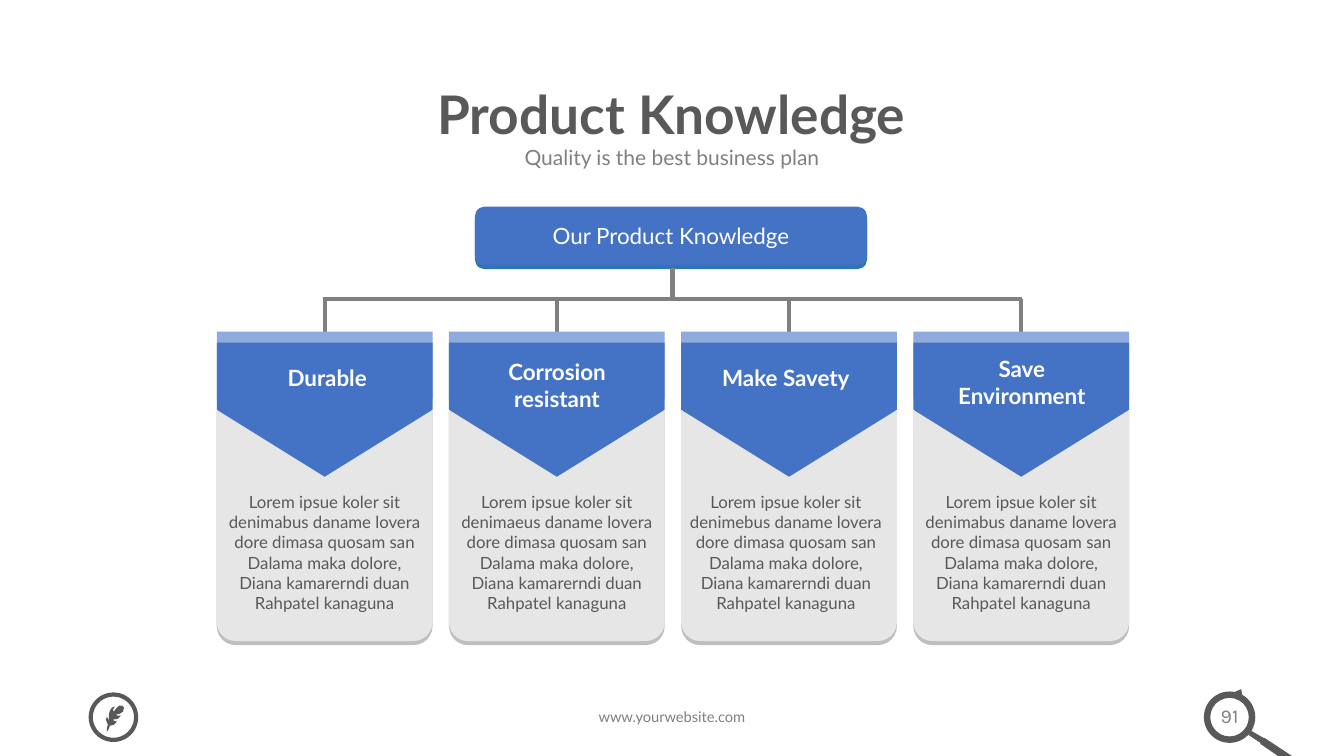
from lxml import etree
from pptx import Presentation
from pptx.dml.color import RGBColor
from pptx.enum.shapes import MSO_CONNECTOR, MSO_SHAPE
from pptx.enum.text import MSO_ANCHOR, PP_ALIGN
from pptx.oxml.ns import qn
from pptx.util import Inches, Pt

BLUE = RGBColor(0x44, 0x72, 0xC4)
DEEP_BLUE = RGBColor(0x2E, 0x75, 0xB6)
PALE_BLUE = RGBColor(0x8F, 0xAA, 0xDC)
DARK = RGBColor(0x59, 0x59, 0x59)
GRAY = RGBColor(0x80, 0x80, 0x80)
SHADE = RGBColor(0xBF, 0xBF, 0xBF)
PANEL = RGBColor(0xE6, 0xE6, 0xE6)
WHITE = RGBColor(0xFF, 0xFF, 0xFF)

TITLE = "Product Knowledge"
SUBTITLE = "Quality is the best business plan"
ROOT = "Our Product Knowledge"
WEBSITE = "www.yourwebsite.com"
PAGE = "91"

# heading, heading left, heading top, body shift, second word of the body
BRANCHES = [
    ("Durable", 2.54, 3.61, 0, "denimabus"),
    ("Corrosion resistant", 4.82, 3.55, 0, "denimaeus"),
    ("Make Savety", 7.09, 3.61, -0.03, "denimebus"),
    ("Save Environment", 9.43, 3.52, 0, "denimabus"),
]
BODY = [
    "Lorem ipsue koler sit {} daname lovera dore dimasa quosam san",
    "Dalama maka dolore,",
    "Diana kamarerndi duan",
    "Rahpatel kanaguna",
]
HANDLE = [(12.38, 7.29), (12.43, 7.22), (12.41, 7.25), (12.53, 7.32), (12.54, 7.32),
          (12.92, 7.57), (12.93, 7.6), (12.92, 7.62), (12.9, 7.65), (12.88, 7.64),
          (12.5, 7.38), (12.5, 7.37)]
FEATHER = [(1.07, 7.25), (1.09, 7.2), (1.13, 7.19), (1.16, 7.16), (1.13, 7.15),
           (1.12, 7.14), (1.17, 7.13), (1.2, 7.1), (1.16, 7.1), (1.15, 7.09),
           (1.19, 7.08), (1.22, 7.06), (1.23, 7.02), (1.21, 7), (1.18, 7),
           (1.15, 7.03), (1.13, 7.06), (1.12, 7.04), (1.14, 7.01), (1.11, 7.02),
           (1.09, 7.05), (1.08, 7.09), (1.08, 7.15), (1.06, 7.11), (1.05, 7.14),
           (1.07, 7.19), (1.06, 7.22), (1.06, 7.25)]

COLUMN_LEFT, COLUMN_PITCH, COLUMN_WIDTH = 2.15, 2.303, 2.14
PANEL_TOP, PLATE_TOP, PLATE_HEIGHT = 4.08, 3.29, 1.33
BAR_Y = 2.97

deck = Presentation()
deck.slide_width, deck.slide_height = Inches(13.33), Inches(7.5)
slide = deck.slides.add_slide(deck.slide_layouts[6])


def paint(shape, fill):
    shape.shadow.inherit = False
    shape.fill.solid()
    shape.fill.fore_color.rgb = fill
    shape.line.fill.background()
    return shape


def add_part(kind, left, top, width, height, fill, adjustments=(), rotation=0):
    part = slide.shapes.add_shape(
        kind, Inches(left), Inches(top), Inches(width), Inches(height))
    for index, value in enumerate(adjustments):
        part.adjustments[index] = value
    part.rotation = rotation
    return paint(part, fill)


def add_outline(points):
    corners = [(Inches(x), Inches(y)) for x, y in points]
    builder = slide.shapes.build_freeform(*corners[0])
    builder.add_line_segments(corners[1:], close=True)
    return paint(builder.convert_to_shape(), DARK)


def write(frame, lines, size, color, bold=False, font="Lato"):
    frame.word_wrap = True
    for index, line in enumerate(lines):
        paragraph = frame.add_paragraph() if index else frame.paragraphs[0]
        paragraph.text = line
        paragraph.alignment = PP_ALIGN.CENTER
        paragraph.font.name = font
        paragraph.font.size = Pt(size)
        paragraph.font.bold = bold
        paragraph.font.color.rgb = color


def add_text(lines, left, top, width, height, size, color,
             insets=(0.1, 0.05), **style):
    frame = slide.shapes.add_textbox(
        Inches(left), Inches(top), Inches(width), Inches(height)).text_frame
    frame.margin_left = frame.margin_right = Inches(insets[0])
    frame.margin_top = frame.margin_bottom = Inches(insets[1])
    write(frame, lines, size, color, **style)
    return frame


def add_line(x1, y1, x2, y2):
    line = slide.shapes.add_connector(
        MSO_CONNECTOR.STRAIGHT, Inches(x1), Inches(y1), Inches(x2), Inches(y2))
    line.line.color.rgb = GRAY
    line.line.width = Pt(3)
    etree.SubElement(line._element.spPr, qn("a:effectLst"))


title = add_text([TITLE], 1.66, 0.75, 10, 0.82, 38, DARK, bold=True)
title.vertical_anchor = MSO_ANCHOR.MIDDLE
title.paragraphs[0].line_spacing = 0.9
add_text([SUBTITLE], 2.67, 1.36, 7.99, 0.39, 15, GRAY, insets=(0.13, 0.07))

add_part(MSO_SHAPE.ROUNDED_RECTANGLE, 4.71, 2.09, 3.89, 0.58, DEEP_BLUE)
root = add_part(MSO_SHAPE.ROUNDED_RECTANGLE, 4.71, 2.05, 3.89, 0.58, BLUE)
root.text_frame.vertical_anchor = MSO_ANCHOR.MIDDLE
write(root.text_frame, [ROOT], 16, WHITE)

add_line(3.2, BAR_Y, 10.14, BAR_Y)
add_line(6.67, 2.66, 6.67, 2.95)

for column, (heading, heading_left, heading_top, shift, word) in enumerate(BRANCHES):
    left = COLUMN_LEFT + column * COLUMN_PITCH
    center = left + COLUMN_WIDTH / 2
    for height, fill in ((2.32, SHADE), (2.28, PANEL)):
        add_part(MSO_SHAPE.ROUND_2_SAME_RECTANGLE, left, PANEL_TOP,
                 COLUMN_WIDTH, height, fill, (0, 0.088))
    add_text([line.format(word) for line in BODY], left + shift, 4.83,
             COLUMN_WIDTH, 1.31, 12, DARK)
    add_line(center, BAR_Y, center, 3.3)
    for top, fill in ((PLATE_TOP, PALE_BLUE), (PLATE_TOP + 0.11, BLUE)):
        add_part(MSO_SHAPE.PENTAGON, center - PLATE_HEIGHT / 2,
                 top + (PLATE_HEIGHT - COLUMN_WIDTH) / 2,
                 PLATE_HEIGHT, COLUMN_WIDTH, fill, rotation=90)
    add_text([heading], heading_left, heading_top, 1.41, 0.54, 16, WHITE,
             insets=(0, 0), bold=True)

add_text([WEBSITE], 4.25, 6.97, 4.83, 0.29, 10.5, GRAY)

add_part(MSO_SHAPE.DONUT, 11.94, 6.86, 0.51, 0.51, DARK, (0.125,))
add_part(MSO_SHAPE.RIGHT_ARROW, 12.23, 6.83, 0.11, 0.11, DARK, (0.32, 0.64), 298.7)
add_outline(HANDLE)
add_text([PAGE], 11.89, 6.93, 0.61, 0.34, 14, GRAY, font="Karla")

badge = add_part(MSO_SHAPE.OVAL, 0.9, 6.89, 0.45, 0.45, WHITE)
badge.fill.background()
badge.line.color.rgb = DARK
badge.line.width = Pt(3)
add_outline(FEATHER)

deck.save("out.pptx")
